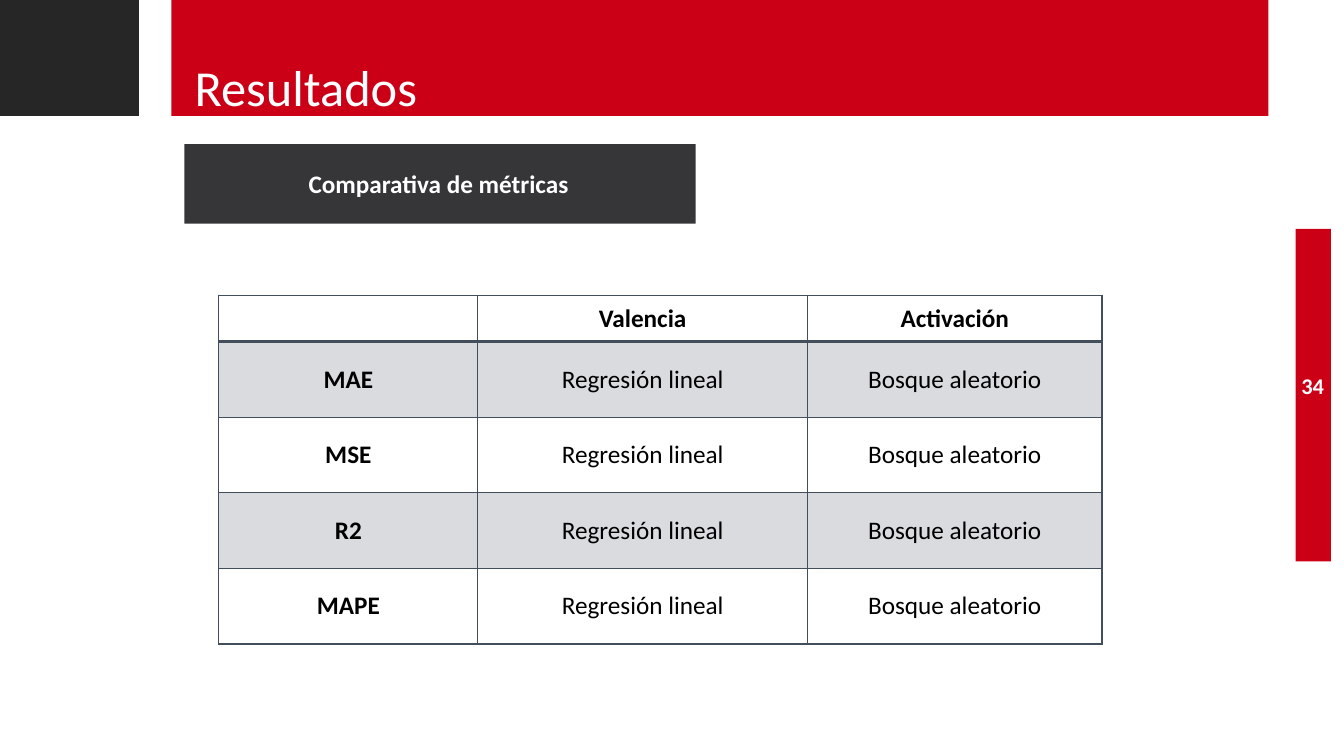
from dataclasses import dataclass

from lxml.etree import SubElement
from pptx import Presentation
from pptx.dml.color import RGBColor
from pptx.enum.shapes import MSO_SHAPE as Preset
from pptx.enum.text import MSO_ANCHOR as Anchor, PP_ALIGN as Align
from pptx.oxml.ns import qn
from pptx.slide import Slide
from pptx.table import _Cell as Cell
from pptx.text.text import TextFrame
from pptx.util import Inches, Pt


@dataclass(frozen=True)
class Theme:
    font: str = "Calibri"
    red: str = "CB0017"
    black: str = "262626"
    charcoal: str = "363639"
    slate: str = "424E5B"
    white: str = "FFFFFF"
    text: str = "000000"
    title_size: float = 36
    body_size: float = 18
    number_size: float = 16
    band_opacity: int = 20


@dataclass(frozen=True)
class Box:
    left: float
    top: float
    width: float
    height: float

    def lengths(self) -> tuple[Inches, Inches, Inches, Inches]:
        return Inches(self.left), Inches(self.top), Inches(self.width), Inches(self.height)


@dataclass(frozen=True)
class Panel:
    box: Box
    color: str


@dataclass(frozen=True)
class Label:
    box: Box
    text: str
    size: float
    anchor: Anchor
    line_spacing: float | None = None


THEME = Theme()

PANELS = [
    Panel(Box(12.85, 2.27, 0.35, 3.3), THEME.red),
    Panel(Box(1.83, 1.43, 5.07, 0.79), THEME.charcoal),
    Panel(Box(1.05, 0, 11.53, 1.15), THEME.red),
    Panel(Box(0, 0, 1.38, 1.15), THEME.black),
    Panel(Box(1.38, 0, 0.32, 1.15), THEME.white),
]

LABELS = [
    Label(Box(12.65, 3.63, 0.74, 0.4), "34", THEME.number_size, Anchor.MIDDLE),
    Label(Box(1.91, 1.67, 4.88, 0.7), "Comparativa de métricas", THEME.body_size, Anchor.TOP, 18.1),
]

TITLE_BOX = Box(1.83, 0.06, 10.36, 1.15)
TABLE_BOX = Box(2.17, 2.93, 8.76, 3.46)
COLUMN_WIDTHS = [2.57, 3.27, 2.92]
HEADER_HEIGHT = 0.46
ROW_HEIGHT = 0.75
HEADER = ["", "Valencia", "Activación"]
METRICS = ["MAE", "MSE", "R2", "MAPE"]
BEST_MODELS = ["Regresión lineal", "Bosque aleatorio"]


def write_text(frame: TextFrame, text: str, size: float, color: str, bold: bool, align: Align) -> None:
    paragraph = frame.paragraphs[0]
    paragraph.text = text
    paragraph.alignment = align
    paragraph.font.name = THEME.font
    paragraph.font.size = Pt(size)
    paragraph.font.bold = bold
    paragraph.font.color.rgb = RGBColor.from_string(color)


def add_panel(slide: Slide, panel: Panel) -> None:
    shape = slide.shapes.add_shape(Preset.RECTANGLE, *panel.box.lengths())
    shape.shadow.inherit = False
    shape.fill.solid()
    shape.fill.fore_color.rgb = RGBColor.from_string(panel.color)
    shape.line.fill.background()


def add_label(slide: Slide, label: Label) -> None:
    frame = slide.shapes.add_textbox(*label.box.lengths()).text_frame
    frame.word_wrap = True
    frame.vertical_anchor = label.anchor
    write_text(frame, label.text, label.size, THEME.white, True, Align.CENTER)
    if label.line_spacing:
        frame.paragraphs[0].line_spacing = Pt(label.line_spacing)


def format_title(slide: Slide) -> None:
    title = slide.shapes.title
    title.left, title.top, title.width, title.height = TITLE_BOX.lengths()
    title.text_frame.vertical_anchor = Anchor.BOTTOM
    write_text(title.text_frame, "Resultados", THEME.title_size, THEME.white, False, Align.LEFT)
    title.text_frame.paragraphs[0].line_spacing = Pt(THEME.title_size)
    slide.shapes.element.append(title.element)


def set_borders(cell: Cell, widths: dict[str, float]) -> None:
    properties = cell._tc.get_or_add_tcPr()
    for position, (side, width) in enumerate(widths.items()):
        line = SubElement(properties, qn(f"a:ln{side}"), w=str(Pt(width)))
        fill = SubElement(line, qn("a:solidFill"))
        SubElement(fill, qn("a:srgbClr"), val=THEME.slate)
        properties.insert(position, line)


def set_band(cell: Cell, shaded: bool) -> None:
    if not shaded:
        cell.fill.background()
        return
    cell.fill.solid()
    cell.fill.fore_color.rgb = RGBColor.from_string(THEME.slate)
    color = cell._tc.tcPr.find(f"{qn('a:solidFill')}/{qn('a:srgbClr')}")
    SubElement(color, qn("a:alpha"), val=str(THEME.band_opacity * 1000))


def add_metrics_table(slide: Slide) -> None:
    rows = [HEADER] + [[metric, *BEST_MODELS] for metric in METRICS]
    table = slide.shapes.add_table(len(rows), len(HEADER), *TABLE_BOX.lengths()).table
    table.first_row = False
    table.horz_banding = False
    for column, width in zip(table.columns, COLUMN_WIDTHS):
        column.width = Inches(width)
    for row_index, texts in enumerate(rows):
        table.rows[row_index].height = Inches(ROW_HEIGHT if row_index else HEADER_HEIGHT)
        top = 2 if row_index == 1 else 1
        bottom = 2 if row_index == 0 else 1
        for column_index, text in enumerate(texts):
            cell = table.cell(row_index, column_index)
            cell.vertical_anchor = Anchor.MIDDLE
            bold = row_index == 0 or column_index == 0
            write_text(cell.text_frame, text, THEME.body_size, THEME.text, bold, Align.CENTER)
            set_band(cell, row_index % 2 == 1)
            set_borders(cell, {"L": 1, "R": 1, "T": top, "B": bottom})


def main() -> None:
    presentation = Presentation()
    presentation.slide_width = Inches(13.33)
    presentation.slide_height = Inches(7.5)
    slide = presentation.slides.add_slide(presentation.slide_layouts.get_by_name("Title Only"))
    for panel in PANELS:
        add_panel(slide, panel)
    for label in LABELS:
        add_label(slide, label)
    format_title(slide)
    add_metrics_table(slide)
    presentation.save("out.pptx")


if __name__ == "__main__":
    main()
